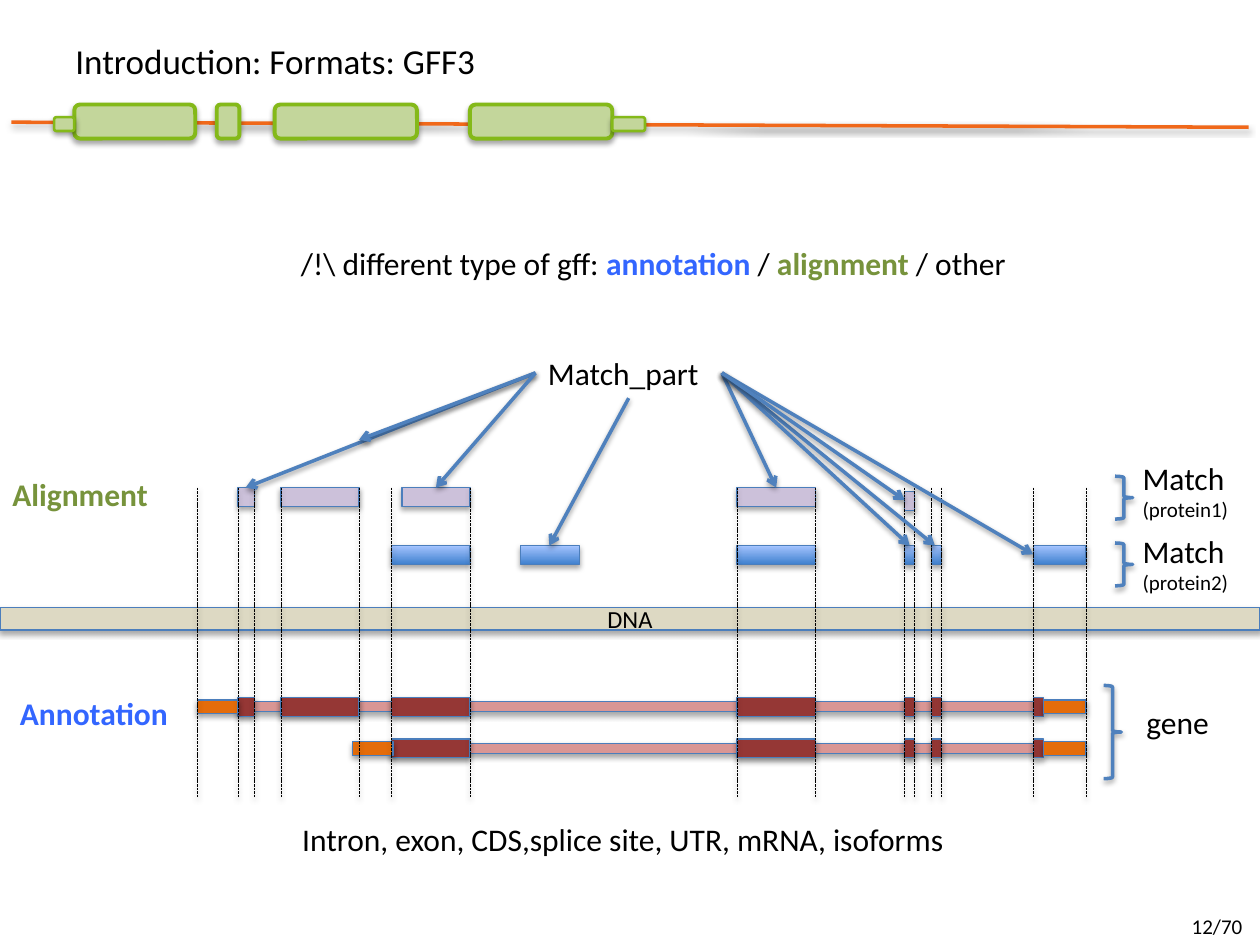
from lxml.etree import SubElement
from pptx import Presentation
from pptx.dml.color import RGBColor
from pptx.enum.dml import MSO_LINE
from pptx.enum.shapes import MSO_CONNECTOR, MSO_SHAPE
from pptx.enum.text import MSO_ANCHOR, PP_ALIGN
from pptx.oxml.ns import qn
from pptx.util import Inches, Pt

BLACK = RGBColor(0x00, 0x00, 0x00)
ORANGE = RGBColor(0xF0, 0x68, 0x1A)
LEAF = RGBColor(0xC3, 0xD6, 0x9B)
LEAF_EDGE = RGBColor(0x84, 0xB9, 0x19)
SAND = RGBColor(0xDD, 0xD9, 0xC3)
EDGE = RGBColor(0x4B, 0x7E, 0xBC)
INTRON = RGBColor(0xD9, 0x96, 0x94)
CDS = RGBColor(0x95, 0x37, 0x35)
UTR = RGBColor(0xE4, 0x6C, 0x0A)
LILAC = RGBColor(0xCC, 0xC1, 0xDA)
STEEL = RGBColor(0x4F, 0x81, 0xBD)
BLUE_GRADIENT = (RGBColor(0x3F, 0x80, 0xCE), RGBColor(0xA4, 0xC4, 0xFF))
BLUE = RGBColor(0x33, 0x66, 0xFF)
GREEN = RGBColor(0x77, 0x93, 0x3C)

WIDTH, HEIGHT = 10, 7.5
FEATURE_H, INTRON_H, UTR_H = 0.15, 0.08, 0.11

# Header gene: left, width
HEADER_EXONS = [(0.59, 0.96), (1.72, 0.18), (2.18, 1.13), (3.73, 1.13)]
HEADER_UTRS = [(4.86, 0.26), (0.43, 0.16)]

# Exons along the DNA: left, width
E1, E2, E3, E4 = (1.89, 0.13), (2.23, 0.62), (3.11, 0.62), (5.85, 0.62)
E5, E6, E7 = (7.18, 0.08), (7.39, 0.08), (8.2, 0.08)
LAST_UTR = (8.28, 0.34)
ISOFORMS = [  # middle, coding exons, UTRs
    (5.61, [E1, E2, E3, E4, E5, E6, E7], [(1.57, 0.32), LAST_UTR]),
    (5.94, [E3, E4, E5, E6, E7], [(2.8, 0.32), LAST_UTR]),
]
PROTEIN1_TOP, PROTEIN2_TOP = 3.87, 4.33
PROTEIN1 = [E1, E2, (3.19, 0.54), E4]
PROTEIN1_SHIFTED = [E5]
PROTEIN2 = [E3, (4.13, 0.47), E4, E5, E6, (8.2, 0.42)]
GUIDES = [1.57, *(x for left, width in (E1, E2, E3, E4, E5, E6)
                  for x in (left, left + width)), 8.2, 8.62]
GUIDE_TOP, GUIDE_BOTTOM = 3.87, 6.33

ARROWS = [  # start, tips
    ((4.25, 2.96), [(1.95, 3.87), (2.85, 3.49), (3.46, 3.87)]),
    ((4.99, 3.16), [(4.36, 4.33)]),
    ((5.73, 2.96), [(7.42, 4.33), (6.16, 3.87), (7.22, 4.33),
                    (8.2, 4.4), (7.18, 3.97)]),
]
BRACES = [(8.76, 5.44, 0.74), (8.85, 4.31, 0.34), (8.85, 3.78, 0.34)]

# Box, alignment, anchor, paragraphs of (text, size, colour, bold) runs
LEFT, CENTER = PP_ALIGN.LEFT, PP_ALIGN.CENTER
TOP, MIDDLE = MSO_ANCHOR.TOP, MSO_ANCHOR.MIDDLE
TEXTS = [
    ((0.5, 0.24, 3.75, 0.48), LEFT, MIDDLE,
     [[("Introduction: Formats: GFF3", 20, BLACK, False)]]),
    ((1.75, 1.89, 6.87, 0.4), CENTER, TOP,
     [[("/!\\ different type of gff: ", 18, BLACK, False),
       ("annotation ", 18, BLUE, True), ("/ ", 18, BLACK, False),
       ("alignment ", 18, GREEN, True), ("/ other", 18, BLACK, False)]]),
    ((4.25, 2.76, 1.48, 0.4), LEFT, TOP, [[("Match_part", 18, BLACK, False)]]),
    ((0, 3.72, 1.38, 0.4), LEFT, TOP, [[("Alignment", 18, GREEN, True)]]),
    ((0.06, 5.46, 1.38, 0.4), LEFT, TOP, [[("Annotation", 18, BLUE, True)]]),
    ((8.97, 3.59, 1.17, 0.61), LEFT, TOP,
     [[("Match", 18, BLACK, False)], [("(protein1)", 12, BLACK, False)]]),
    ((8.97, 4.17, 1.17, 0.61), LEFT, TOP,
     [[("Match", 18, BLACK, False)], [("(protein2)", 12, BLACK, False)]]),
    ((9, 5.53, 0.8, 0.4), LEFT, TOP, [[("gene", 18, BLACK, False)]]),
    ((2.3, 6.46, 5.38, 0.4), LEFT, TOP,
     [[("Intron, exon, CDS,splice site, UTR, mRNA, isoforms", 18, BLACK, False)]]),
    ((9.36, 7.2, 0.64, 0.3), LEFT, TOP, [[("12/70", 12, BLACK, False)]]),
]


def add_shadow(shape, distance, opacity):
    effects = SubElement(shape._element.spPr, qn("a:effectLst"))
    outer = SubElement(effects, qn("a:outerShdw"), blurRad=str(Pt(3.1)),
                       dist=str(Pt(distance)), dir="5400000", rotWithShape="0")
    color = SubElement(outer, qn("a:srgbClr"), val="000000")
    SubElement(color, qn("a:alpha"), val=str(opacity * 1000))


def add_block(parent, kind, box, fill, edge=EDGE, weight=0.75):
    """Add a shape; fill is a colour, a pair of gradient colours or None."""
    block = parent.shapes.add_shape(kind, *map(Inches, box))
    if fill is None:
        block.fill.background()
    elif fill is BLUE_GRADIENT:
        block.fill.gradient()
        block.fill.gradient_angle = 90
        for stop, color in zip(block.fill.gradient_stops, fill):
            stop.color.rgb = color
    else:
        block.fill.solid()
        block.fill.fore_color.rgb = fill
    block.line.color.rgb = edge
    block.line.width = Pt(weight)
    add_shadow(block, 1.8, 35)
    return block


def add_features(parent, spans, top, height, fill):
    for left, width in spans:
        add_block(parent, MSO_SHAPE.RECTANGLE, (left, top, width, height), fill)


def add_line(parent, start, end, color, weight, dashed=False, arrow=False):
    line = parent.shapes.add_connector(
        MSO_CONNECTOR.STRAIGHT, *map(Inches, (*start, *end)))
    line.line.color.rgb = color
    line.line.width = Pt(weight)
    if dashed:
        line.line.dash_style = MSO_LINE.SQUARE_DOT
    if arrow:
        SubElement(line.line._get_or_add_ln(), qn("a:tailEnd"), type="arrow")
    add_shadow(line, 1.6, 38)


def write(frame, paragraphs, align, anchor):
    frame.word_wrap = True
    frame.vertical_anchor = anchor
    for i, runs in enumerate(paragraphs):
        paragraph = frame.add_paragraph() if i else frame.paragraphs[0]
        paragraph.alignment = align
        for text, size, color, bold in runs:
            run = paragraph.add_run()
            run.text = text
            run.font.name = "Calibri"
            run.font.size = Pt(size)
            run.font.bold = bold
            run.font.color.rgb = color


def main():
    deck = Presentation()
    deck.slide_width, deck.slide_height = Inches(WIDTH), Inches(HEIGHT)
    slide = deck.slides.add_slide(deck.slide_layouts[6])

    add_line(slide, (0.09, 0.97), (9.91, 1.01), ORANGE, 2)
    for spans, top, height, weight in ((HEADER_EXONS, 0.83, 0.27, 2.25),
                                       (HEADER_UTRS, 0.93, 0.11, 1.5)):
        for left, width in spans:
            add_block(slide, MSO_SHAPE.ROUNDED_RECTANGLE,
                      (left, top, width, height), LEAF, LEAF_EDGE, weight)

    dna = add_block(slide, MSO_SHAPE.RECTANGLE, (0, 4.82, WIDTH, 0.18), SAND)
    dna.text_frame.margin_top = dna.text_frame.margin_bottom = 0
    write(dna.text_frame, [[("DNA", 14, BLACK, False)]], CENTER, MIDDLE)

    for middle, exons, utrs in ISOFORMS:
        isoform = slide.shapes.add_group_shape()
        first, last = exons[0][0], exons[-1][0]
        for spans, height, fill in (([(first, last - first)], INTRON_H, INTRON),
                                    (exons, FEATURE_H, CDS),
                                    (utrs, UTR_H, UTR)):
            add_features(isoform, spans, middle - height / 2, height, fill)

    matches = slide.shapes.add_group_shape()
    add_features(matches, PROTEIN1, PROTEIN1_TOP, FEATURE_H, LILAC)
    add_features(matches, PROTEIN1_SHIFTED, PROTEIN1_TOP + 0.03, FEATURE_H, LILAC)
    add_features(matches, PROTEIN2, PROTEIN2_TOP, FEATURE_H, BLUE_GRADIENT)

    guides = slide.shapes.add_group_shape()
    for x in GUIDES:
        add_line(guides, (x, GUIDE_TOP), (x, GUIDE_BOTTOM), BLACK, 0.5, dashed=True)

    for left, top, height in BRACES:
        add_block(slide, MSO_SHAPE.RIGHT_BRACE, (left, top, 0.14, height),
                  None, STEEL, 2)
    for start, tips in ARROWS:
        for tip in tips:
            add_line(slide, start, tip, STEEL, 2, arrow=True)

    for box, align, anchor, paragraphs in TEXTS:
        label = slide.shapes.add_textbox(*map(Inches, box))
        write(label.text_frame, paragraphs, align, anchor)

    deck.save("out.pptx")


if __name__ == "__main__":
    main()
